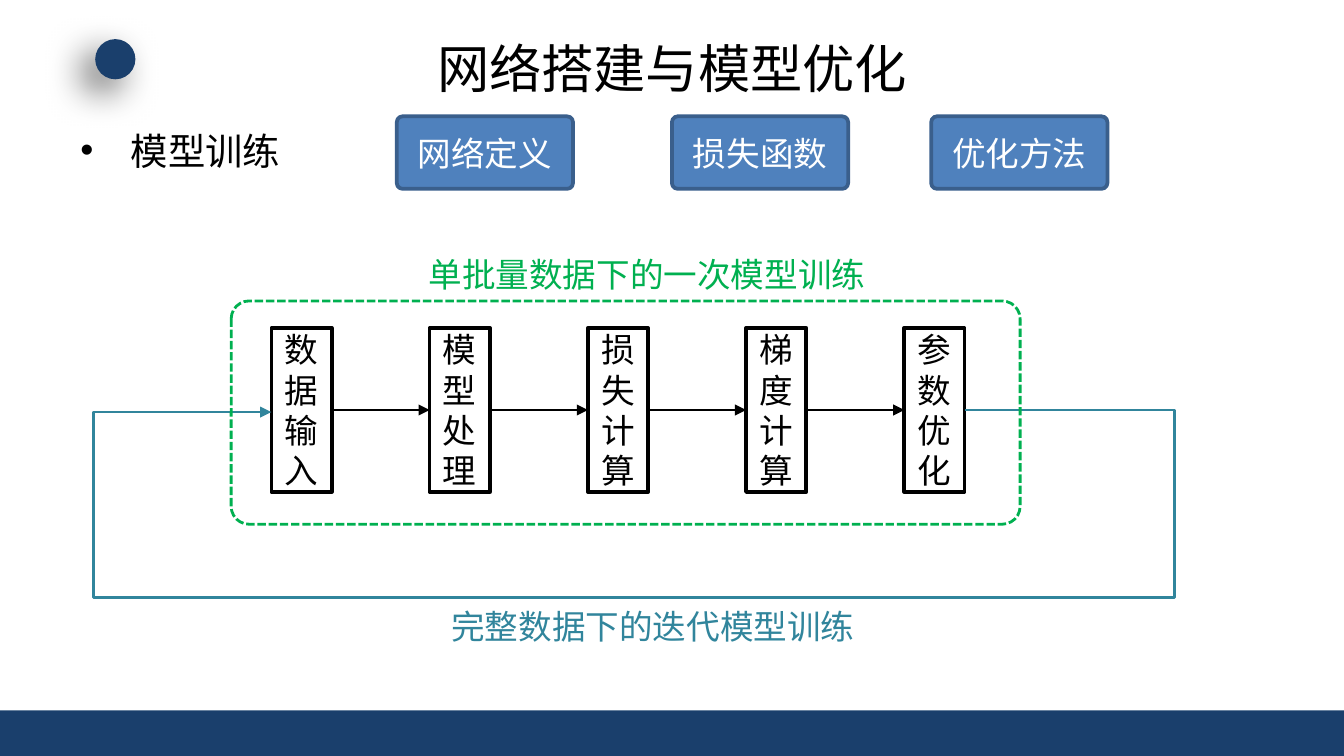
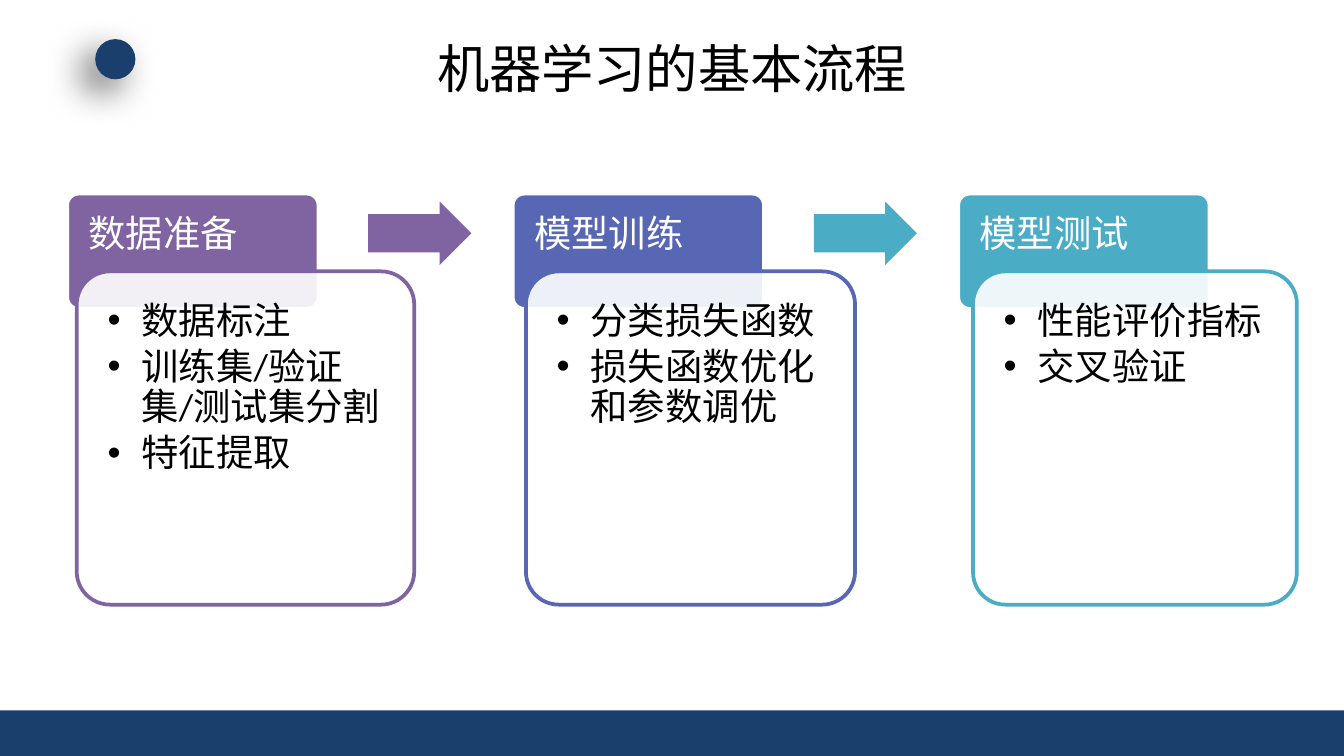
from lxml import etree
from pptx import Presentation
from pptx.dml.color import RGBColor
from pptx.enum.dml import MSO_LINE
from pptx.enum.shapes import MSO_CONNECTOR, MSO_SHAPE
from pptx.enum.text import MSO_ANCHOR, PP_ALIGN
from pptx.oxml.ns import qn
from pptx.util import Cm, Pt

RECTANGLE, ROUNDED, OVAL, ARROW = (
    MSO_SHAPE.RECTANGLE, MSO_SHAPE.ROUNDED_RECTANGLE, MSO_SHAPE.OVAL, MSO_SHAPE.RIGHT_ARROW)
STRAIGHT, ELBOW = MSO_CONNECTOR.STRAIGHT, MSO_CONNECTOR.ELBOW
DASH = MSO_LINE.SQUARE_DOT
TOP, MIDDLE = MSO_ANCHOR.TOP, MSO_ANCHOR.MIDDLE
LEFT, CENTER = PP_ALIGN.LEFT, PP_ALIGN.CENTER
RIGHT_SITE, LEFT_SITE = 3, 1

COLORS = {
    "navy": "1A3F6C", "black": "000000", "white": "FFFFFF", "blue": "4F81BD",
    "blue_edge": "3A5F8C", "green": "00B050", "loop": "31859C",
    "purple": "8064A2", "indigo": "5767B4", "teal": "4BACC6",
}
HEAD_FONT, BODY_FONT = "Noto Sans CJK SC", "Calibri"
PAGE_WIDTH, PAGE_HEIGHT = 25.4, 14.29

METHODS = ["网络定义", "损失函数", "优化方法"]
METHOD_LEFTS = [7.5, 12.7, 17.6]
STEPS = ["数据输入", "模型处理", "损失计算", "梯度计算", "参数优化"]
CARDS = [
    ("数据准备", ["数据标注", "训练集/验证集/测试集分割", "特征提取"], "purple", 0.18, 6.38),
    ("模型训练", ["分类损失函数", "损失函数优化和参数调优"], "indigo", 0.25, 6.22),
    ("模型测试", ["性能评价指标", "交叉验证"], "teal", 0.28, 6.12),
]
CARD_ARROWS = ["purple", "teal"]


def rgb(name):
    return RGBColor.from_string(COLORS[name])


def add_child(parent, tag, **attributes):
    return etree.SubElement(parent, qn(tag), attributes)


def add_box(page, kind, box, fill=None, line=None, width=2, adjustments=()):
    shape = page.shapes.add_shape(kind, *map(Cm, box))
    shape.shadow.inherit = False
    if fill:
        shape.fill.solid()
        shape.fill.fore_color.rgb = rgb(fill)
    else:
        shape.fill.background()
    if line:
        shape.line.color.rgb = rgb(line)
        shape.line.width = Pt(width)
    else:
        shape.line.fill.background()
    for index, value in enumerate(adjustments):
        shape.adjustments[index] = value
    return shape


def write(shape, texts, size, color, font=BODY_FONT, align=LEFT, anchor=TOP,
          bullet_indent=None, spacing=None, after=None):
    frame = shape.text_frame
    frame.word_wrap = True
    frame.vertical_anchor = anchor
    for index, text in enumerate(texts):
        para = frame.add_paragraph() if index else frame.paragraphs[0]
        para.text = text
        para.alignment = align
        if spacing:
            para.line_spacing = spacing
        if after:
            para.space_after = Pt(after)
        if bullet_indent:
            properties = para._p.get_or_add_pPr()
            properties.set("marL", str(Cm(bullet_indent)))
            properties.set("indent", str(-Cm(bullet_indent)))
            add_child(properties, "a:buFont", typeface="Arial")
            add_child(properties, "a:buChar", char="•")
        para.font.size = Pt(size)
        para.font.name = font
        para.font.color.rgb = rgb(color)


def add_label(page, box, text, size, color, **style):
    label = page.shapes.add_textbox(*map(Cm, box))
    write(label, [text], size, color, **style)


def set_insets(shape, side, top):
    frame = shape.text_frame
    frame.margin_left = frame.margin_right = Cm(side)
    frame.margin_top = frame.margin_bottom = Cm(top)


def add_line(page, kind, start, end, color):
    line = page.shapes.add_connector(kind, *map(Cm, start + end))
    line.line.color.rgb = rgb(color)
    line.line.width = Pt(1.5)
    properties = line._element.spPr
    add_child(properties.find(qn("a:ln")), "a:tailEnd", type="triangle")
    add_child(properties, "a:effectLst")
    return line


def add_page(deck, heading):
    page = deck.slides.add_slide(deck.slide_layouts[5])
    add_box(page, RECTANGLE, (0, 13.43, PAGE_WIDTH, PAGE_HEIGHT - 13.43), "navy")
    dot = add_box(page, OVAL, (1.8, 0.74, 0.76, 0.76), "navy")
    effects = dot._element.spPr.find(qn("a:effectLst"))
    shadow = add_child(effects, "a:outerShdw", blurRad=str(Pt(20)), dist=str(Pt(10)),
                       dir="8100000", algn="tr", rotWithShape="0")
    shade = add_child(shadow, "a:srgbClr", val=COLORS["black"])
    add_child(shade, "a:alpha", val="60000")
    title = page.shapes.title
    title.left, title.top, title.width, title.height = map(Cm, (1.27, 0.58, 22.86, 1.4))
    write(title, [heading], 28, "black", HEAD_FONT, CENTER, MIDDLE)
    return page


def add_methods(page, top):
    for left, name in zip(METHOD_LEFTS, METHODS):
        button = add_box(page, ROUNDED, (left, top, 3.33, 1.37), "blue", "blue_edge",
                         adjustments=[0.08])
        write(button, [name], 18, "white", align=CENTER, anchor=MIDDLE)


def add_steps(page, left, top, pitch=2.99, width=1.14, height=3.1):
    boxes = []
    for index, name in enumerate(STEPS):
        step = add_box(page, RECTANGLE, (left + index * pitch, top, width, height), line="black")
        write(step, [name], 18, "black", align=CENTER, anchor=MIDDLE)
        boxes.append(step)
    for before, after in zip(boxes, boxes[1:]):
        arrow = add_line(page, STRAIGHT, (0, 0), (0, 0), "black")
        arrow.begin_connect(before, RIGHT_SITE)
        arrow.end_connect(after, LEFT_SITE)
    start = (left + (len(STEPS) - 1) * pitch + width, top + height / 2)
    return start, (left, start[1] + 0.04)


def add_loop(page, start, end, left, right, bottom):
    loop = add_line(page, ELBOW, start, end, "loop")
    geometry = loop._element.spPr.find(qn("a:prstGeom"))
    geometry.set("prst", "bentConnector5")
    guides = geometry.find(qn("a:avLst"))
    span = start[0] - end[0]
    ratios = [(start[0] - right) / span, (bottom - start[1]) / (end[1] - start[1]),
              (start[0] - left) / span]
    for number, ratio in enumerate(ratios, 1):
        add_child(guides, "a:gd", name=f"adj{number}", fmla=f"val {round(ratio * 100000)}")


def build_training(deck):
    page = add_page(deck, "网络搭建与模型优化")
    add_label(page, (1.27, 2.29, 22.86, 2.16), "模型训练", 20, "black",
              font=HEAD_FONT, bullet_indent=0.95)
    add_methods(page, 2.2)
    start, end = add_steps(page, 5.13, 6.2)
    add_loop(page, start, end, 1.76, 22.2, 11.3)
    batch = add_box(page, ROUNDED, (4.37, 5.69, 14.91, 4.22), line="green", width=1.5,
                    adjustments=[0.08])
    batch.line.dash_style = DASH
    add_label(page, (7.85, 4.67, 8.87, 1.02), "单批量数据下的一次模型训练", 18, "green")
    add_label(page, (8.28, 11.33, 8.87, 1.02), "完整数据下的迭代模型训练", 18, "loop")


def add_card(page, left, top, heading, items, color, shift, width):
    tab = add_box(page, ROUNDED, (left, top, 4.75, 2.18), color, "white", adjustments=[0.1])
    set_insets(tab, 0.34, 0.34)
    write(tab, [heading], 20, "white", spacing=0.9)
    detail = add_box(page, ROUNDED, (left + shift, top + 1.47, width, 6.3), "white", color,
                     adjustments=[0.1])
    paint = detail._element.spPr.find(qn("a:solidFill")).find(qn("a:srgbClr"))
    add_child(paint, "a:alpha", val="90000")
    set_insets(detail, 0.4, 0.4)
    write(detail, items, 20, "black", bullet_indent=0.64, spacing=0.9, after=3)


def build_workflow(deck, left=1.27, top=3.66, pitch=8.42):
    page = add_page(deck, "机器学习的基本流程")
    for index, card in enumerate(CARDS):
        add_card(page, left + index * pitch, top, *card)
    for index, color in enumerate(CARD_ARROWS):
        add_box(page, ARROW, (left + index * pitch + 5.69, top + 0.15, 1.95, 1.2), color,
                adjustments=[0.6, 0.5])


def main():
    deck = Presentation()
    deck.slide_width, deck.slide_height = Cm(PAGE_WIDTH), Cm(PAGE_HEIGHT)
    build_training(deck)
    build_workflow(deck)
    deck.save("out.pptx")


if __name__ == "__main__":
    main()
